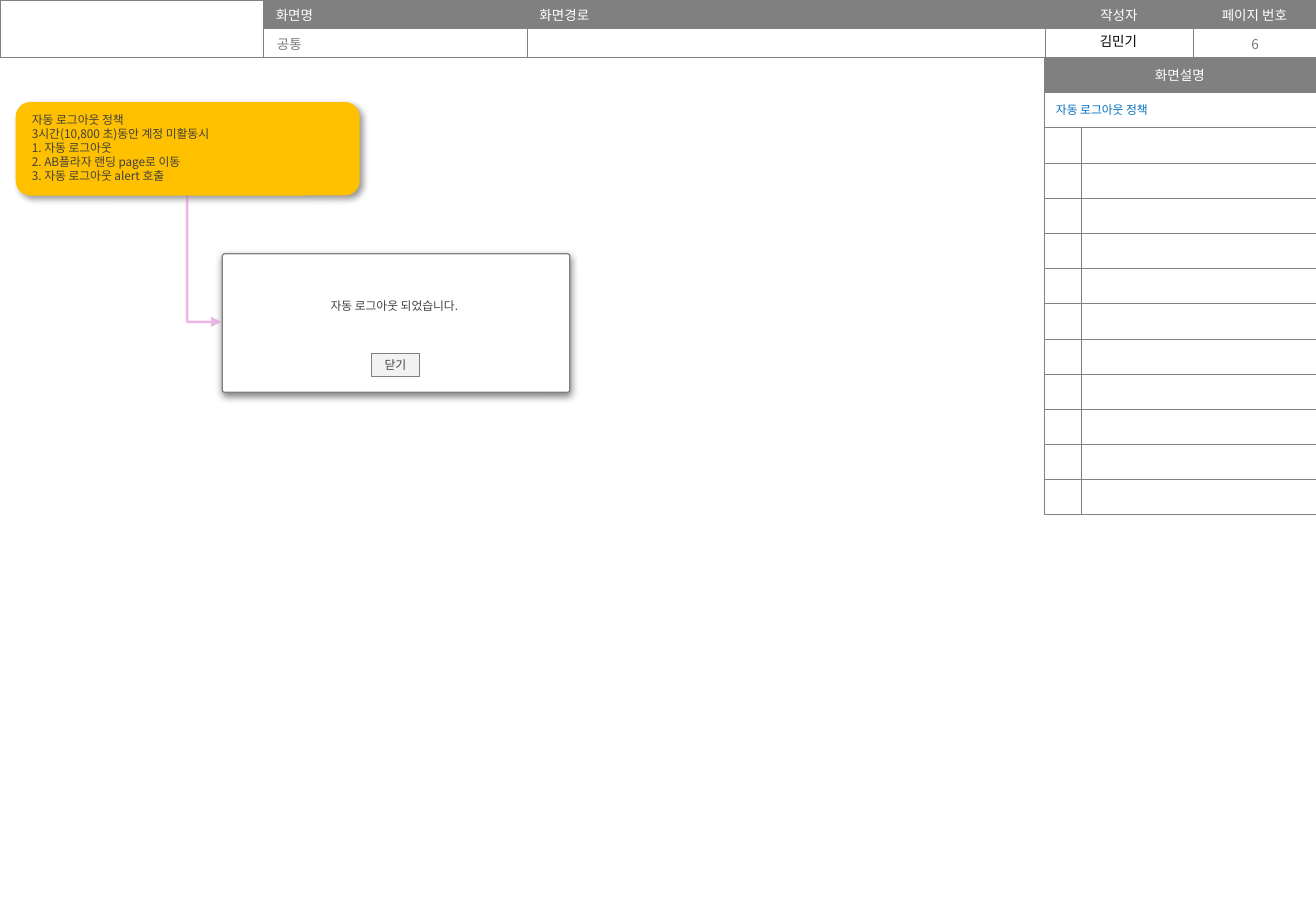
from lxml.etree import SubElement
from pptx import Presentation
from pptx.dml.color import RGBColor
from pptx.enum.shapes import MSO_CONNECTOR, MSO_SHAPE
from pptx.enum.text import MSO_ANCHOR, PP_ALIGN
from pptx.oxml import parse_xml
from pptx.oxml.ns import nsdecls, qn
from pptx.util import Inches, Pt

FONT = "Noto Sans CJK KR"
COLORS = {
    "grid": "808080", "white": "FFFFFF", "black": "000000", "muted": "797979",
    "title": "0070C0", "message": "434343", "body": "404040",
    "button": "F2F2F2", "policy": "FFC000", "flow": "D86ECC",
}


def write(frame, text, size, color, align=PP_ALIGN.LEFT):
    """Fill a text frame in one style, for Latin and Korean letters alike."""
    frame.text = text
    frame.word_wrap = True
    for paragraph in frame.paragraphs:
        paragraph.alignment = align
        font = paragraph.font
        font.size = Pt(size)
        font.name = FONT
        font.color.rgb = RGBColor.from_string(COLORS[color])
        SubElement(font._rPr, qn("a:ea"), typeface=FONT)
        if not text:
            paragraph._p.get_or_add_endParaRPr().set("sz", str(size * 100))


def style_cell(cell, text="", size=8, color="white", fill=None, align=PP_ALIGN.LEFT):
    write(cell.text_frame, text, size, color, align)
    cell.vertical_anchor = MSO_ANCHOR.MIDDLE
    cell.margin_top = cell.margin_bottom = 0
    if fill:
        cell.fill.solid()
        cell.fill.fore_color.rgb = RGBColor.from_string(COLORS[fill])
    else:
        cell.fill.background()
    borders = [
        parse_xml(f'<a:{side} {nsdecls("a")} w="3175"><a:solidFill>'
                  f'<a:srgbClr val="{COLORS["grid"]}"/></a:solidFill></a:{side}>')
        for side in ("lnL", "lnR", "lnT", "lnB")
    ]
    for position, border in enumerate(borders):
        cell._tc.get_or_add_tcPr().insert(position, border)


prs = Presentation()
prs.slide_width, prs.slide_height = Inches(10.83), Inches(7.5)
slide = prs.slides.add_slide(prs.slide_layouts[6])
shapes = slide.shapes

# Tables: page header and screen description
tables = []
for left, top, column_widths, row_count, row_height in (
    (0, 0, (2.17, 2.17, 4.26, 1.22, 1.01), 2, 0.235),
    (8.59, 0.47, (0.31, 1.93), 13, 0.29),
):
    table = shapes.add_table(
        row_count, len(column_widths), Inches(left), Inches(top),
        Inches(sum(column_widths)), Inches(row_count * row_height)).table
    table.first_row = table.horz_banding = False
    for column, width in zip(table.columns, column_widths):
        column.width = Inches(width)
    for row in table.rows:
        row.height = Inches(row_height)
    tables.append(table)
header, description = tables

header.cell(0, 0).merge(header.cell(1, 0))
for column, label in enumerate(("", "화면명", "화면경로", "작성자", "페이지 번호")):
    style_cell(header.cell(0, column), label, fill="grid" if label else None,
               align=PP_ALIGN.CENTER if column > 2 else PP_ALIGN.LEFT)
    style_cell(header.cell(1, column))

for row in range(13):
    if row < 2:
        description.cell(row, 0).merge(description.cell(row, 1))
    for column in range(2):
        if (row, column) == (0, 0):
            style_cell(description.cell(0, 0), "화면설명", fill="grid", align=PP_ALIGN.CENTER)
        elif (row, column) == (1, 0):
            style_cell(description.cell(1, 0), "자동 로그아웃 정책", 7, "title")
        else:
            style_cell(description.cell(row, column), size=7)

# Header values
for text, left, top, width, color, align, anchor in (
    ("김민기", 8.59, 0.22, 1.23, "black", PP_ALIGN.CENTER, MSO_ANCHOR.TOP),
    ("6", 9.83, 0.24, 1, "muted", PP_ALIGN.CENTER, MSO_ANCHOR.MIDDLE),
    ("공통", 2.18, 0.24, 2.11, "muted", PP_ALIGN.LEFT, MSO_ANCHOR.MIDDLE),
):
    frame = shapes.add_textbox(Inches(left), Inches(top), Inches(width), Inches(0.24)).text_frame
    write(frame, text, 8, color, align)
    frame.vertical_anchor = anchor

# Logout alert and policy note
policy_text = ("자동 로그아웃 정책\n3시간(10,800 초)동안 계정 미활동시\v1. 자동 로그아웃\v"
               "2. AB플라자 랜딩 page로 이동\v3. 자동 로그아웃 alert 호출")
panels = []
for box, corner, fill, line_width, text, color, inset, shadow in (
    ((1.83, 2.09, 2.86, 1.14), 0.017, "white", 0.75, "", "body", None, (49, 4.5, 1.5, 90)),
    ((1.99, 2.25, 2.51, 0.54), 0.017, "white", 0, "자동 로그아웃 되었습니다.", "message", 0.09, None),
    ((3.06, 2.91, 0.39, 0.19), 0, "button", 0.5, "닫기", "body", 0, None),
    ((0.13, 0.84, 2.83, 0.77), 0.157, "policy", 0, policy_text, "body", None, (40, 4, 3, 45)),
):
    panel = shapes.add_shape(MSO_SHAPE.ROUNDED_RECTANGLE, *map(Inches, box))
    panel.adjustments[0] = corner
    panel.shadow.inherit = False
    panel.fill.solid()
    panel.fill.fore_color.rgb = RGBColor.from_string(COLORS[fill])
    if line_width:
        panel.line.width = Pt(line_width)
        panel.line.color.rgb = RGBColor.from_string(COLORS["grid"])
    else:
        panel.line.fill.background()
    if shadow:
        alpha, blur, distance, angle = shadow
        panel._element.spPr.find(qn("a:effectLst")).append(parse_xml(
            f'<a:outerShdw {nsdecls("a")} blurRad="{Pt(blur)}" dist="{Pt(distance)}" '
            f'dir="{angle * 60000}" algn="ctr" rotWithShape="0">'
            f'<a:srgbClr val="{COLORS["black"]}"><a:alpha val="{alpha * 1000}"/>'
            '</a:srgbClr></a:outerShdw>'))
    frame = panel.text_frame
    if text:
        write(frame, text, 7, color, PP_ALIGN.LEFT if fill == "policy" else PP_ALIGN.CENTER)
    frame.vertical_anchor = MSO_ANCHOR.TOP if fill == "policy" else MSO_ANCHOR.MIDDLE
    if inset is not None:
        frame.margin_left = frame.margin_right = Inches(inset)
        frame.margin_top = frame.margin_bottom = Inches(inset)
    panels.append(panel)
alert, policy = panels[0], panels[-1]

# Elbow arrow: down from the note, then right into the alert
flow = shapes.add_connector(MSO_CONNECTOR.ELBOW, 0, 0, 0, 0)
flow.begin_connect(policy, 2)
flow.end_connect(alert, 1)
flow.left, flow.top, flow.width, flow.height = map(Inches, (1.16, 1.99, 1.04, 0.28))
flow_properties = flow._element.spPr
flow_properties.find(qn("a:prstGeom")).set("prst", "bentConnector2")
transform = flow_properties.find(qn("a:xfrm"))
transform.set("rot", str(270 * 60000))
transform.set("flipH", "1")
flow.line.width = Pt(1.5)
flow.line.color.rgb = RGBColor.from_string(COLORS["flow"])
SubElement(flow_properties.find(".//" + qn("a:srgbClr")), qn("a:alpha"), val="50000")
SubElement(flow.line._get_or_add_ln(), qn("a:tailEnd"), type="triangle")
SubElement(flow_properties, qn("a:effectLst"))

prs.save("out.pptx")
